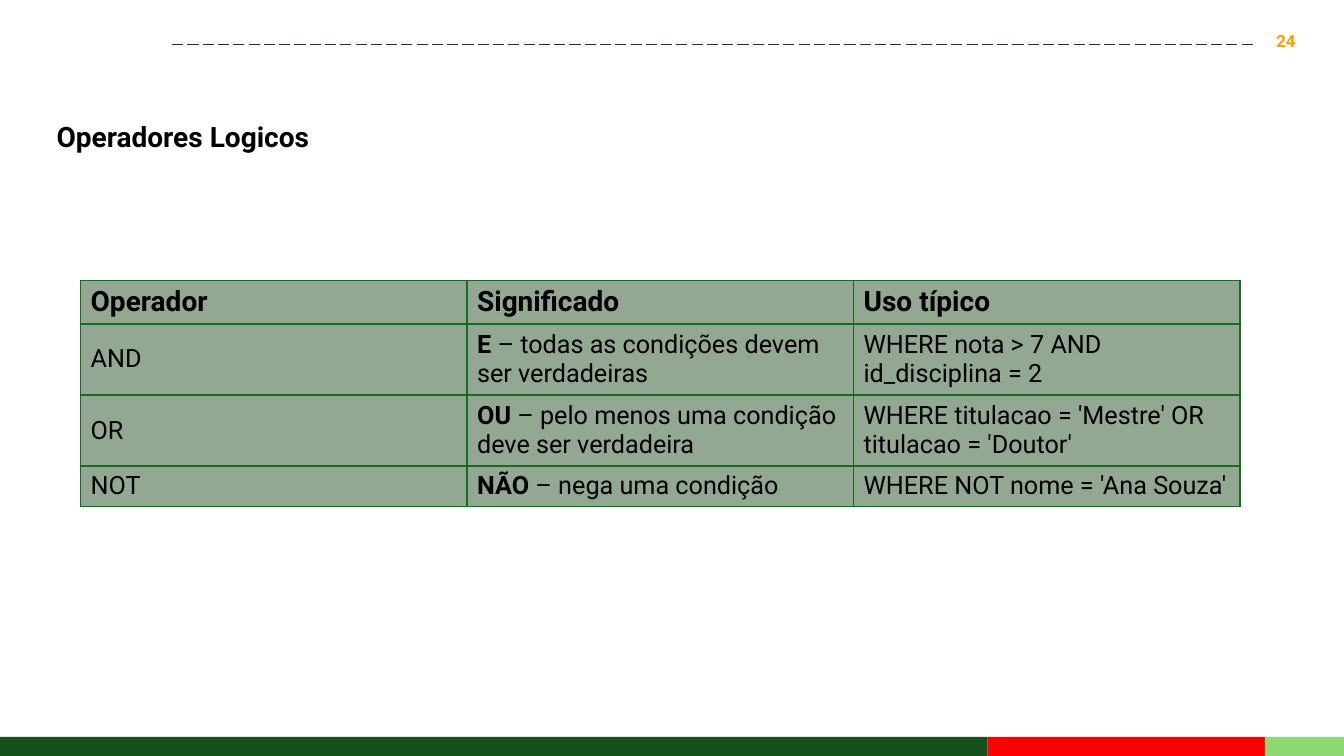
from lxml.etree import SubElement
from pptx import Presentation
from pptx.dml.color import RGBColor
from pptx.enum.dml import MSO_LINE
from pptx.enum.shapes import MSO_CONNECTOR, MSO_SHAPE
from pptx.enum.text import MSO_ANCHOR, PP_ALIGN
from pptx.oxml.ns import qn
from pptx.util import Cm, Pt

FONT = "Roboto"
BLACK = RGBColor(0x00, 0x00, 0x00)
ORANGE = RGBColor(0xFF, 0x9C, 0x00)
NAVY = RGBColor(0x29, 0x2B, 0x51)
DARK_GREEN = RGBColor(0x13, 0x50, 0x1B)
RED = RGBColor(0xFF, 0x00, 0x00)
LIGHT_GREEN = RGBColor(0x8E, 0xD9, 0x73)
CELL_GREEN = RGBColor(0x92, 0xA8, 0x93)
BORDER_GREEN = RGBColor(0x19, 0x6B, 0x24)

HEADER = ["Operador", "Significado", "Uso típico"]
# Operator, bold keyword, meaning, typical use
OPERATORS = [
    ("AND", "E", " – todas as condições devem ser verdadeiras",
     "WHERE nota > 7 AND id_disciplina = 2"),
    ("OR", "OU", " – pelo menos uma condição deve ser verdadeira",
     "WHERE titulacao = 'Mestre' OR titulacao = 'Doutor'"),
    ("NOT", "NÃO", " – nega uma condição",
     "WHERE NOT nome = 'Ana Souza'"),
]
ROW_HEIGHTS = [1.09, 1.79, 1.79, 1.02]


def add_run(p, text, size, bold=False, color=BLACK):
    r = p.add_run()
    r.text = text
    r.font.name = FONT
    r.font.size = Pt(size)
    r.font.bold = bold
    r.font.color.rgb = color


def add_bar(s, left, width, color):
    bar = s.shapes.add_shape(MSO_SHAPE.RECTANGLE, Cm(left), Cm(18.57), Cm(width), Cm(0.48))
    bar.shadow.inherit = False
    bar.fill.solid()
    bar.fill.fore_color.rgb = color
    bar.line.fill.background()


def add_page_number(s, number):
    tf = s.shapes.add_textbox(Cm(31.6), Cm(0.51), Cm(1.3), Cm(1.02)).text_frame
    tf.word_wrap = True
    tf.vertical_anchor = MSO_ANCHOR.MIDDLE
    p = tf.paragraphs[0]
    p.alignment = PP_ALIGN.RIGHT
    add_run(p, number, 12, True, ORANGE)


def add_dashed_line(s):
    line = s.shapes.add_connector(MSO_CONNECTOR.STRAIGHT, Cm(4.34), Cm(1.13), Cm(31.6), Cm(1.13))
    line.line.color.rgb = NAVY
    line.line.width = Pt(1)
    line.line.dash_style = MSO_LINE.LONG_DASH
    SubElement(line.element.spPr, qn("a:effectLst"))


def set_title(s, text):
    title = s.shapes.title
    title.left, title.top, title.width, title.height = Cm(1.17), Cm(2.46), Cm(9.65), Cm(1.4)
    tf = title.text_frame
    tf.word_wrap = True
    tf.vertical_anchor = MSO_ANCHOR.TOP
    p = tf.paragraphs[0]
    p.alignment = PP_ALIGN.LEFT
    p.line_spacing = 1.5
    add_run(p, text, 20, True)


def set_borders(cell):
    tcPr = cell._tc.get_or_add_tcPr()
    for index, side in enumerate(("a:lnL", "a:lnR", "a:lnT", "a:lnB")):
        ln = tcPr.makeelement(qn(side), {"w": str(Pt(1))})
        fill = SubElement(ln, qn("a:solidFill"))
        SubElement(fill, qn("a:srgbClr"), val=str(BORDER_GREEN))
        tcPr.insert(index, ln)  # borders come before the fill


def fill_cell(cell, runs, size):
    cell.fill.solid()
    cell.fill.fore_color.rgb = CELL_GREEN
    cell.vertical_anchor = MSO_ANCHOR.MIDDLE
    set_borders(cell)
    for text, bold in runs:
        add_run(cell.text_frame.paragraphs[0], text, size, bold)


def add_operator_table(s):
    rows = [[[(name, True)] for name in HEADER]]
    for operator, keyword, meaning, use in OPERATORS:
        rows.append([[(operator, False)], [(keyword, True), (meaning, False)], [(use, False)]])
    table = s.shapes.add_table(len(rows), len(HEADER), Cm(2.03), Cm(7.06),
                               Cm(29.22), Cm(sum(ROW_HEIGHTS))).table
    table.horz_banding = False
    for i, row in enumerate(rows):
        table.rows[i].height = Cm(ROW_HEIGHTS[i])
        for j, runs in enumerate(row):
            fill_cell(table.cell(i, j), runs, 20 if i == 0 else 18)


def main():
    prs = Presentation()
    prs.slide_width, prs.slide_height = Cm(33.87), Cm(19.05)
    s = prs.slides.add_slide(prs.slide_layouts[5])

    # Footer bars
    add_bar(s, 0, 24.89, DARK_GREEN)
    add_bar(s, 24.89, 6.99, RED)
    add_bar(s, 31.88, 1.99, LIGHT_GREEN)

    # Header
    add_page_number(s, "24")
    add_dashed_line(s)
    set_title(s, "Operadores Logicos")

    # Content
    add_operator_table(s)
    prs.save("out.pptx")


if __name__ == "__main__":
    main()
